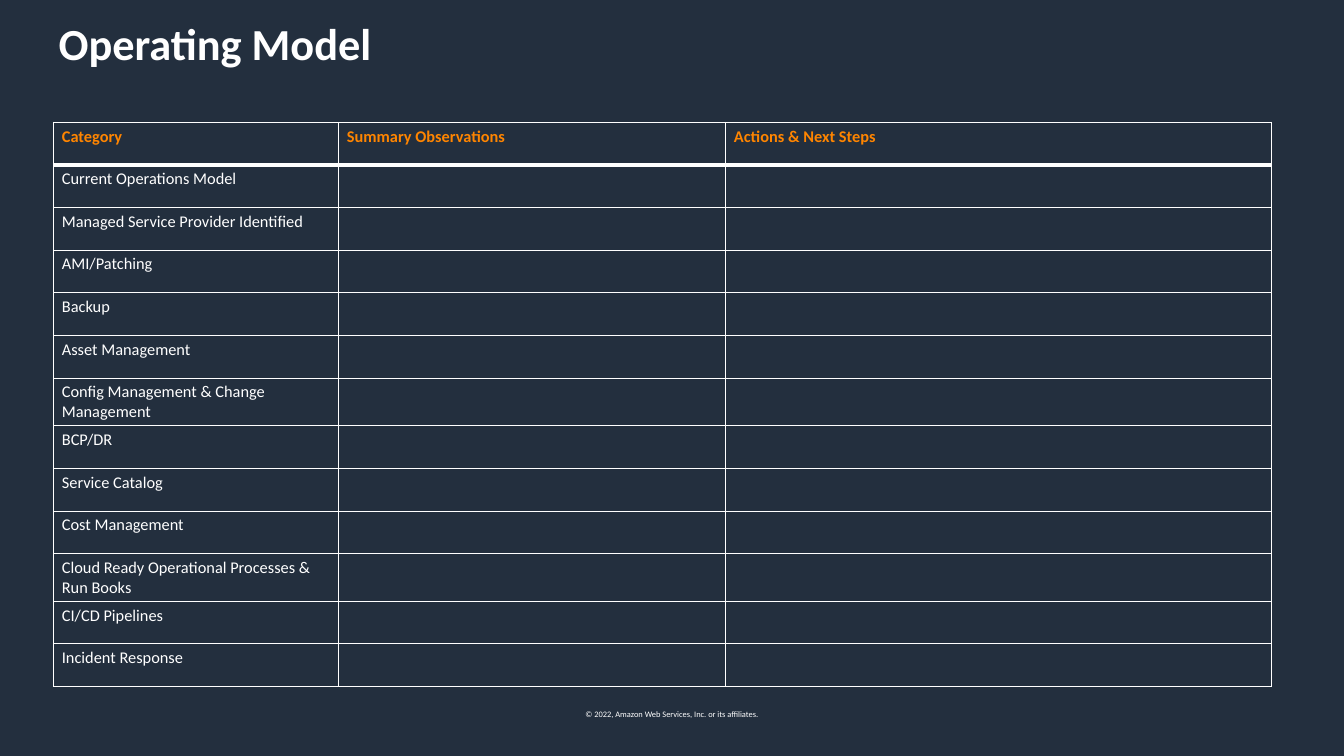
from dataclasses import dataclass

from lxml import etree
from pptx import Presentation
from pptx import util as u
from pptx.dml.color import RGBColor
from pptx.enum import text
from pptx.oxml import ns

NAVY = RGBColor(0x23, 0x2F, 0x3E)
WHITE = RGBColor(0xFF, 0xFF, 0xFF)
ORANGE = RGBColor(0xFF, 0x85, 0x00)
FONT = "Calibri"
SLIDE_W, SLIDE_H = u.Inches(16), u.Inches(9)
THIN, THICK = u.Pt(1), u.Pt(3)


@dataclass(frozen=True)
class Area:
    """A place on the slide, in percent of its width and height."""
    left: float
    top: float
    width: float
    height: float

    def box(self) -> tuple[int, int, int, int]:
        return (int(SLIDE_W * self.left / 100), int(SLIDE_H * self.top / 100),
                int(SLIDE_W * self.width / 100), int(SLIDE_H * self.height / 100))


@dataclass(frozen=True)
class Style:
    size: float
    color: RGBColor
    bold: bool = False
    align: text.PP_ALIGN = text.PP_ALIGN.LEFT


@dataclass(frozen=True)
class Label:
    words: str
    area: Area
    style: Style
    wrap: bool = True


@dataclass(frozen=True)
class Column:
    heading: str
    share: float  # percent of the table width


TITLE = Label("Operating Model", Area(3.75, 1.6, 85.94, 10.56),
              Style(38, WHITE, bold=True))
COPYRIGHT = Label("© 2022, Amazon Web Services, Inc. or its affiliates.",
                  Area(42.16, 93.2, 15.68, 2.44),
                  Style(7.2, WHITE, align=text.PP_ALIGN.CENTER), wrap=False)

TABLE_AREA = Area(3.98, 16.18, 90.63, 73.33)
HEADING = Style(14, ORANGE, bold=True)
BODY = Style(14, WHITE)
COLUMNS = [
    Column("Category", 23.4),
    Column("Summary Observations", 31.78),
    Column("Actions & Next Steps", 44.82),
]
CATEGORIES = [
    "Current Operations Model",
    "Managed Service Provider Identified",
    "AMI/Patching",
    "Backup",
    "Asset Management",
    "Config Management & Change Management",
    "BCP/DR",
    "Service Catalog",
    "Cost Management",
    "Cloud Ready Operational Processes & Run Books",
    "CI/CD Pipelines",
    "Incident Response",
]


def write(frame, words: str, style: Style) -> None:
    paragraph = frame.paragraphs[0]
    paragraph.text = words
    paragraph.alignment = style.align
    font = paragraph.font
    font.name, font.size, font.bold = FONT, u.Pt(style.size), style.bold
    font.color.rgb = style.color


def add_label(slide, label: Label) -> None:
    frame = slide.shapes.add_textbox(*label.area.box()).text_frame
    frame.word_wrap = label.wrap
    write(frame, label.words, label.style)


def add_borders(cell, top: int, bottom: int) -> None:
    properties = cell._tc.get_or_add_tcPr()
    for side, width in (("L", THIN), ("R", THIN), ("T", top), ("B", bottom)):
        line = etree.SubElement(properties, ns.qn(f"a:ln{side}"), w=str(width))
        fill = etree.SubElement(line, ns.qn("a:solidFill"))
        etree.SubElement(fill, ns.qn("a:srgbClr"), val=str(WHITE))


def add_operating_table(slide) -> None:
    rows = [[column.heading for column in COLUMNS]]
    rows += [[category, "", ""] for category in CATEGORIES]
    left, top, width, height = TABLE_AREA.box()
    table = slide.shapes.add_table(
        len(rows), len(COLUMNS), left, top, width, height).table
    table.first_row = table.horz_banding = False

    for table_column, column in zip(table.columns, COLUMNS):
        table_column.width = int(width * column.share / 100)

    for r, row in enumerate(rows):
        for c, words in enumerate(row):
            cell = table.cell(r, c)
            # The heavy rule lies between the heading row and the first category
            add_borders(cell, top=THICK if r == 1 else THIN,
                        bottom=THICK if r == 0 else THIN)
            cell.fill.solid()
            cell.fill.fore_color.rgb = NAVY
            write(cell.text_frame, words, BODY if r else HEADING)


def main() -> None:
    deck = Presentation()
    deck.slide_width, deck.slide_height = SLIDE_W, SLIDE_H
    slide = deck.slides.add_slide(deck.slide_layouts[6])

    # Background
    slide.background.fill.solid()
    slide.background.fill.fore_color.rgb = NAVY

    # Footer, title and table
    add_label(slide, COPYRIGHT)
    add_label(slide, TITLE)
    add_operating_table(slide)

    deck.save("out.pptx")


if __name__ == "__main__":
    main()
